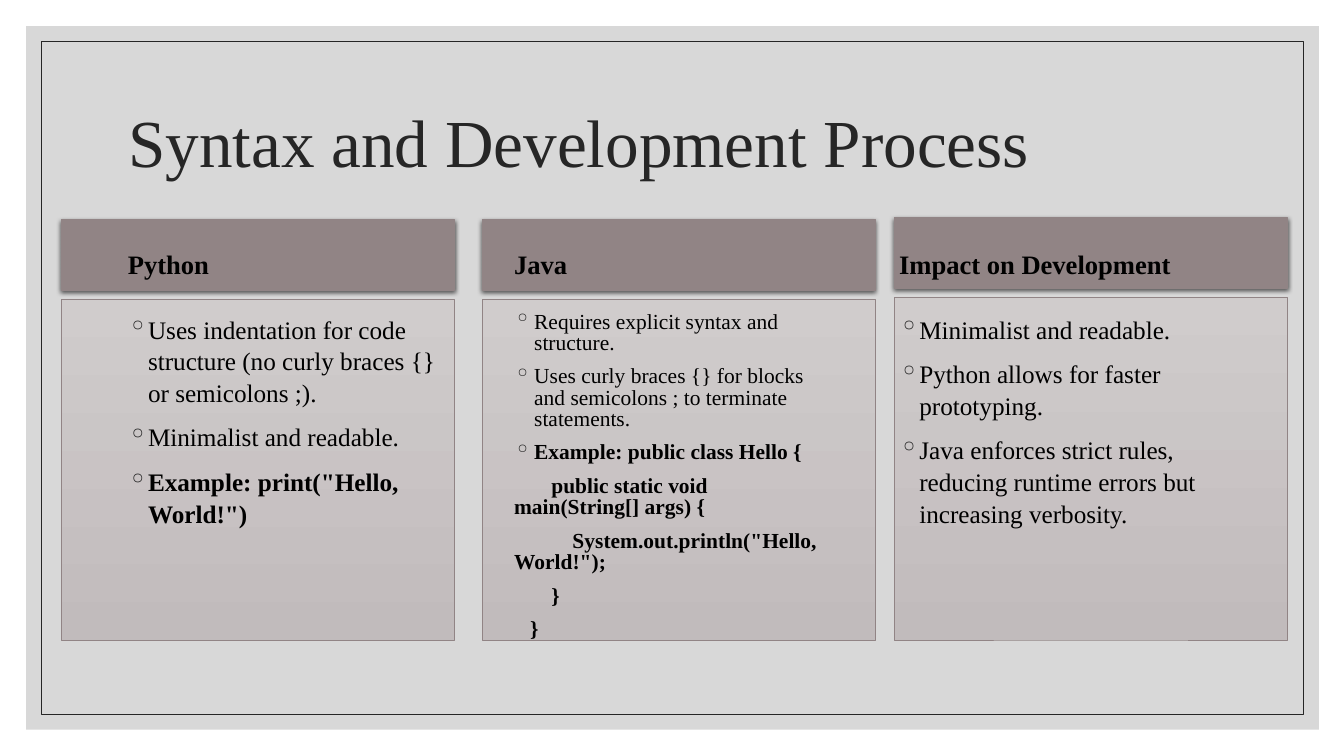
from pptx import Presentation
from pptx.dml.color import RGBColor
from pptx.enum.shapes import MSO_SHAPE
from pptx.enum.text import MSO_ANCHOR, MSO_AUTO_SIZE, PP_ALIGN
from pptx.oxml import parse_xml
from pptx.oxml.ns import nsdecls
from pptx.util import Inches, Pt
from lxml.etree import SubElement
from pptx.oxml.ns import qn

FONT = "Times New Roman"
BLACK = RGBColor(0x00, 0x00, 0x00)
DARK = RGBColor(0x26, 0x26, 0x26)
GRAY = RGBColor(0xBF, 0xBF, 0xBF)
MAUVE = RGBColor(0x91, 0x84, 0x85)
MAUVE_END = RGBColor(0x90, 0x83, 0x84)
PANEL_TOP = RGBColor(0xD0, 0xCC, 0xCC)
PANEL_BOTTOM = RGBColor(0xC1, 0xBB, 0xBC)

TITLE = "Syntax and Development Process"
PANEL_WIDTH, HEADER_HEIGHT, PANEL_BOTTOM_EDGE = 3.9, 0.7, 6.35
TEXT_WIDTH, HEADING_TOP, BODY_TOP = 3.34, 2.27, 3.05
HEADER_TO_PANEL = 0.79

# Each item: text, bold, first-line indent of a code line (None for a bullet)
COLUMNS = [
    {
        "heading": "Python", "left": 0.61, "top": 2.18, "text_left": 1.17,
        "size": 18, "line_spacing": 1.05, "body_height": 3.46,
        "items": [
            ("Uses indentation for code structure (no curly braces {} or semicolons ;).", False, None),
            ("Minimalist and readable.", False, None),
            ('Example: print("Hello, World!")', True, None),
        ],
    },
    {
        "heading": "Java", "left": 4.78, "top": 2.18, "text_left": 5,
        "size": 15.3, "line_spacing": 0.82, "body_height": 3.46,
        "items": [
            ("Requires explicit syntax and structure.", False, None),
            ("Uses curly braces {} for blocks and semicolons ; to terminate statements.", False, None),
            ("Example: public class Hello {", True, None),
            ("public static void main(String[] args) {", True, 0.37),
            ('System.out.println("Hello, World!");', True, 0.58),
            ("}", True, 0.37),
            ("}", True, 0.16),
        ],
    },
    {
        "heading": "Impact on Development", "left": 8.87, "top": 2.16, "text_left": 8.82,
        "size": 18, "line_spacing": 1.05, "body_height": 2.89,
        "items": [
            ("Minimalist and readable.", False, None),
            ("Python allows for faster prototyping.", False, None),
            ("Java enforces strict rules, reducing runtime errors but increasing verbosity.", False, None),
        ],
    },
]


def add_rectangle(slide, left, top, width, height, line_color=None):
    shape = slide.shapes.add_shape(
        MSO_SHAPE.RECTANGLE, Inches(left), Inches(top), Inches(width), Inches(height))
    shape.shadow.inherit = False
    if line_color is None:
        shape.line.fill.background()
    else:
        shape.line.color.rgb = line_color
        shape.line.width = Pt(0.5)
    return shape


def set_gradient(shape, first, last):
    shape.fill.gradient()
    shape.fill.gradient_angle = 270
    for stop, color in zip(shape.fill.gradient_stops, (first, last)):
        stop.color.rgb = color


def add_drop_shadow(shape):
    effects = shape.element.spPr.find(qn("a:effectLst"))
    effects.append(parse_xml(
        f'<a:outerShdw {nsdecls("a")} blurRad="38100" dist="12700" dir="5400000" rotWithShape="0">'
        '<a:srgbClr val="000000"><a:alpha val="63000"/></a:srgbClr></a:outerShdw>'))


def add_text_frame(slide, left, top, height, anchor):
    box = slide.shapes.add_textbox(
        Inches(left), Inches(top), Inches(TEXT_WIDTH), Inches(height))
    frame = box.text_frame
    frame.word_wrap = True
    frame.auto_size = MSO_AUTO_SIZE.NONE
    frame.vertical_anchor = anchor
    return frame


def format_runs(paragraph, size, color, bold=False):
    for run in paragraph.runs:
        run.font.name = FONT
        run.font.size = Pt(size)
        run.font.bold = bold
        run.font.color.rgb = color


def set_indent(paragraph, code_indent):
    properties = paragraph._p.get_or_add_pPr()
    if code_indent is not None:
        properties.set("marL", "0")
        properties.set("indent", str(Inches(code_indent)))
        return
    properties.set("marL", str(Inches(0.2)))
    properties.set("indent", str(-Inches(0.2)))
    bullet_color = SubElement(properties, qn("a:buClr"))
    SubElement(bullet_color, qn("a:srgbClr")).set("val", str(DARK))
    SubElement(properties, qn("a:buChar")).set("char", "◦")


def add_frame(slide):
    backdrop = add_rectangle(slide, 0.26, 0.26, 12.82, 6.98)
    backdrop.fill.solid()
    backdrop.fill.fore_color.rgb = GRAY
    color = backdrop.element.spPr.find(qn("a:solidFill"))[0]
    SubElement(color, qn("a:alpha")).set("val", "60000")
    border = add_rectangle(slide, 0.41, 0.41, 12.52, 6.68, DARK)
    border.fill.background()


def add_title(slide):
    title = slide.shapes.title
    title.left, title.top = Inches(1.17), Inches(0.7)
    title.width, title.height = Inches(11), Inches(1.5)
    frame = title.text_frame
    frame.text = TITLE
    frame.word_wrap = True
    frame.vertical_anchor = MSO_ANCHOR.MIDDLE
    paragraph = frame.paragraphs[0]
    paragraph.alignment = PP_ALIGN.LEFT
    paragraph.line_spacing = 0.9
    format_runs(paragraph, 48, DARK)
    title.element.getparent().append(title.element)


def add_column(slide, column):
    left, top = column["left"], column["top"]
    header = add_rectangle(slide, left, top, PANEL_WIDTH, HEADER_HEIGHT, MAUVE)
    set_gradient(header, MAUVE, MAUVE_END)
    add_drop_shadow(header)
    panel_top = top + HEADER_TO_PANEL
    panel = add_rectangle(
        slide, left, panel_top, PANEL_WIDTH, PANEL_BOTTOM_EDGE - panel_top, MAUVE)
    set_gradient(panel, PANEL_TOP, PANEL_BOTTOM)

    heading = add_text_frame(
        slide, column["text_left"], HEADING_TOP, HEADER_HEIGHT, MSO_ANCHOR.MIDDLE)
    heading.text = column["heading"]
    format_runs(heading.paragraphs[0], 19, BLACK, True)

    body = add_text_frame(
        slide, column["text_left"], BODY_TOP, column["body_height"], MSO_ANCHOR.TOP)
    body.text = "\n".join(text for text, bold, code_indent in column["items"])
    for paragraph, (text, bold, code_indent) in zip(body.paragraphs, column["items"]):
        paragraph.line_spacing = column["line_spacing"]
        paragraph.space_before = Pt(9)
        set_indent(paragraph, code_indent)
        format_runs(paragraph, column["size"], BLACK, bold)


def main():
    presentation = Presentation()
    presentation.slide_width = Inches(13.33)
    presentation.slide_height = Inches(7.5)
    slide = presentation.slides.add_slide(presentation.slide_layouts[5])
    add_frame(slide)
    add_title(slide)
    for column in COLUMNS:
        add_column(slide, column)
    presentation.save("out.pptx")


if __name__ == "__main__":
    main()
